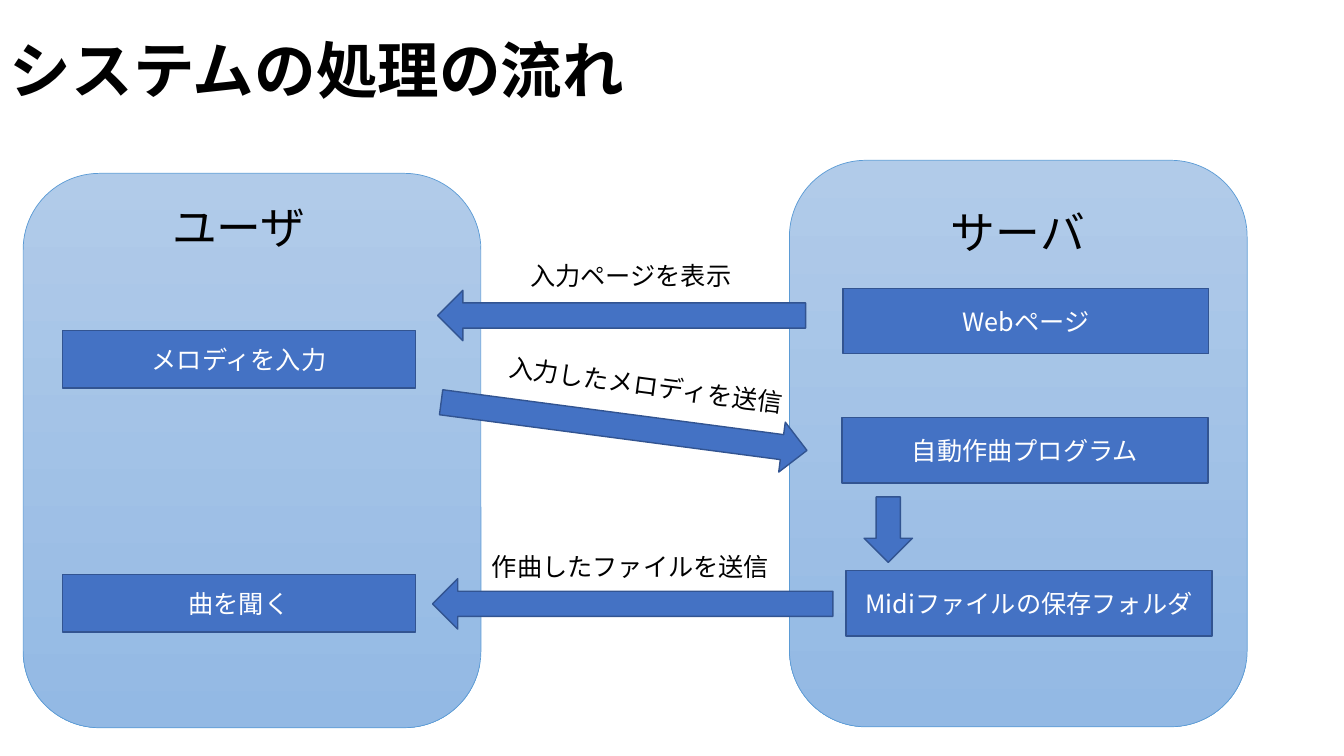
from dataclasses import dataclass

from lxml.etree import SubElement
from pptx import Presentation
from pptx.dml.color import RGBColor
from pptx.enum.shapes import MSO_SHAPE
from pptx.enum.text import MSO_ANCHOR, PP_ALIGN
from pptx.oxml.ns import qn
from pptx.shapes.autoshape import Shape
from pptx.slide import Slide
from pptx.util import Inches, Pt

FONT = "Noto Sans CJK JP"
BLACK, WHITE = "000000", "FFFFFF"
BOX_FILL, BOX_LINE = "4472C4", "325491"
PANEL_TOP, PANEL_BOTTOM, PANEL_LINE = "B1CBE9", "93B9E4", "5B9BD5"


@dataclass(frozen=True)
class Area:
    left: float
    top: float
    width: float
    height: float
    rotation: float = 0


@dataclass(frozen=True)
class Caption:
    text: str
    area: Area


@dataclass(frozen=True)
class Arrow:
    area: Area
    kind: MSO_SHAPE = MSO_SHAPE.RIGHT_ARROW


USER_PANEL = Area(0.23, 1.72, 4.54, 5.5)
SERVER_PANEL = Area(7.83, 1.59, 4.54, 5.62)

HEADINGS = [
    Caption("ユーザ", Area(1.37, 1.93, 2, 0.64)),
    Caption("サーバ", Area(8.7, 1.98, 2.79, 0.73)),
]
STEPS = [
    Caption("メロディを入力", Area(0.62, 3.28, 3.5, 0.57)),
    Caption("曲を聞く", Area(0.62, 5.7, 3.5, 0.57)),
    Caption("Webページ", Area(8.36, 2.86, 3.63, 0.65)),
    Caption("自動作曲プログラム", Area(8.35, 4.14, 3.63, 0.65)),
    Caption("Midiファイルの保存フォルダ", Area(8.39, 5.66, 3.63, 0.65)),
]
ARROWS = [
    Arrow(Area(4.34, 2.88, 3.65, 0.5, 180)),
    Arrow(Area(4.36, 3.98, 3.66, 0.5, 7.5)),
    Arrow(Area(4.29, 5.74, 3.97, 0.5, 180)),
    Arrow(Area(8.57, 4.93, 0.48, 0.65), MSO_SHAPE.DOWN_ARROW),
]
MESSAGES = [
    Caption("入力ページを表示", Area(5.16, 2.53, 2.54, 0.4)),
    Caption("入力したメロディを送信", Area(4.94, 3.64, 3.21, 0.4, 7.7)),
    Caption("作曲したファイルを送信", Area(4.78, 5.42, 3.23, 0.4)),
]


def color(value: str) -> RGBColor:
    return RGBColor.from_string(value)


def bounds(area: Area) -> tuple[int, ...]:
    return tuple(Inches(length) for length in (area.left, area.top, area.width, area.height))


def write_text(shape: Shape, text: str, *, size: float = 18, font_color: str = BLACK,
               bold: bool = False, align: PP_ALIGN = PP_ALIGN.LEFT,
               anchor: MSO_ANCHOR = MSO_ANCHOR.TOP, line_spacing: float = 1.0) -> None:
    frame = shape.text_frame
    frame.word_wrap = True
    frame.vertical_anchor = anchor
    paragraph = frame.paragraphs[0]
    paragraph.alignment = align
    paragraph.line_spacing = line_spacing
    run = paragraph.add_run()
    run.text = text
    run.font.name = FONT
    run.font.size = Pt(size)
    run.font.bold = bold
    run.font.color.rgb = color(font_color)
    SubElement(run.font._element, qn("a:ea")).set("typeface", FONT)


def add_caption(slide: Slide, caption: Caption, **text_format) -> None:
    shape = slide.shapes.add_textbox(*bounds(caption.area))
    shape.rotation = caption.area.rotation
    write_text(shape, caption.text, **text_format)


def add_outlined(slide: Slide, kind: MSO_SHAPE, area: Area, line_color: str, line_width: float) -> Shape:
    shape = slide.shapes.add_shape(kind, *bounds(area))
    shape.rotation = area.rotation
    shape.shadow.inherit = False
    shape.line.color.rgb = color(line_color)
    shape.line.width = Pt(line_width)
    return shape


def add_panel(slide: Slide, area: Area) -> None:
    shape = add_outlined(slide, MSO_SHAPE.ROUNDED_RECTANGLE, area, PANEL_LINE, 0.5)
    shape.fill.gradient()
    shape.fill.gradient_angle = 270
    for stop, value in zip(shape.fill.gradient_stops, (PANEL_TOP, PANEL_BOTTOM)):
        stop.color.rgb = color(value)


def add_solid(slide: Slide, kind: MSO_SHAPE, area: Area) -> Shape:
    shape = add_outlined(slide, kind, area, BOX_LINE, 1)
    shape.fill.solid()
    shape.fill.fore_color.rgb = color(BOX_FILL)
    return shape


def main() -> None:
    presentation = Presentation()
    presentation.slide_width = Inches(13.33)
    presentation.slide_height = Inches(7.5)
    slide = presentation.slides.add_slide(presentation.slide_layouts[6])

    add_caption(slide, Caption("システムの処理の流れ", Area(0, 0, 7.25, 1.45)),
                size=44, bold=True, anchor=MSO_ANCHOR.MIDDLE, line_spacing=0.9)
    for panel in (USER_PANEL, SERVER_PANEL):
        add_panel(slide, panel)
    for heading in HEADINGS:
        add_caption(slide, heading, size=32, align=PP_ALIGN.CENTER)
    for step in STEPS:
        box = add_solid(slide, MSO_SHAPE.RECTANGLE, step.area)
        write_text(box, step.text, font_color=WHITE, align=PP_ALIGN.CENTER,
                   anchor=MSO_ANCHOR.MIDDLE)
    for arrow in ARROWS:
        add_solid(slide, arrow.kind, arrow.area)
    for message in MESSAGES:
        add_caption(slide, message)

    presentation.save("out.pptx")


if __name__ == "__main__":
    main()
